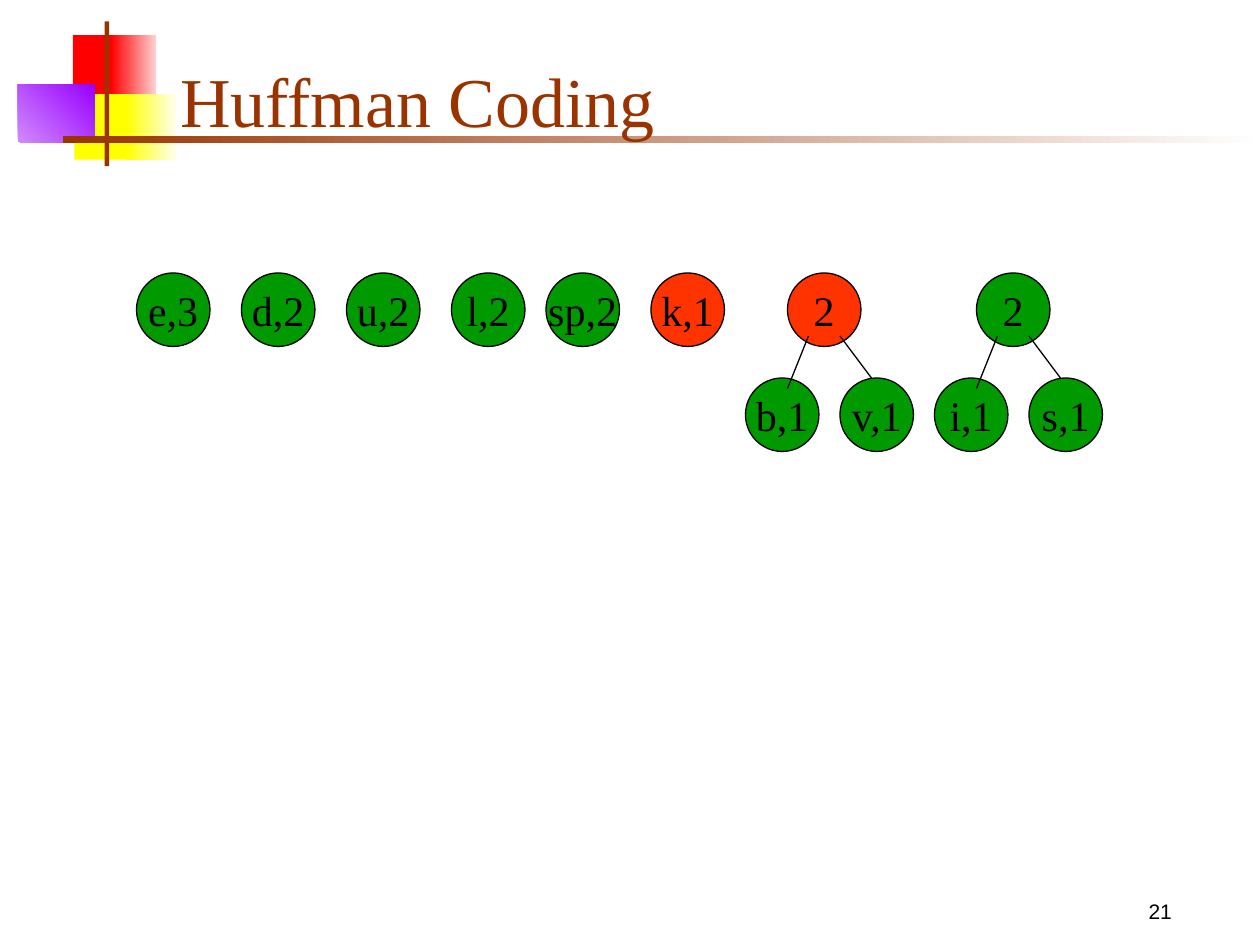
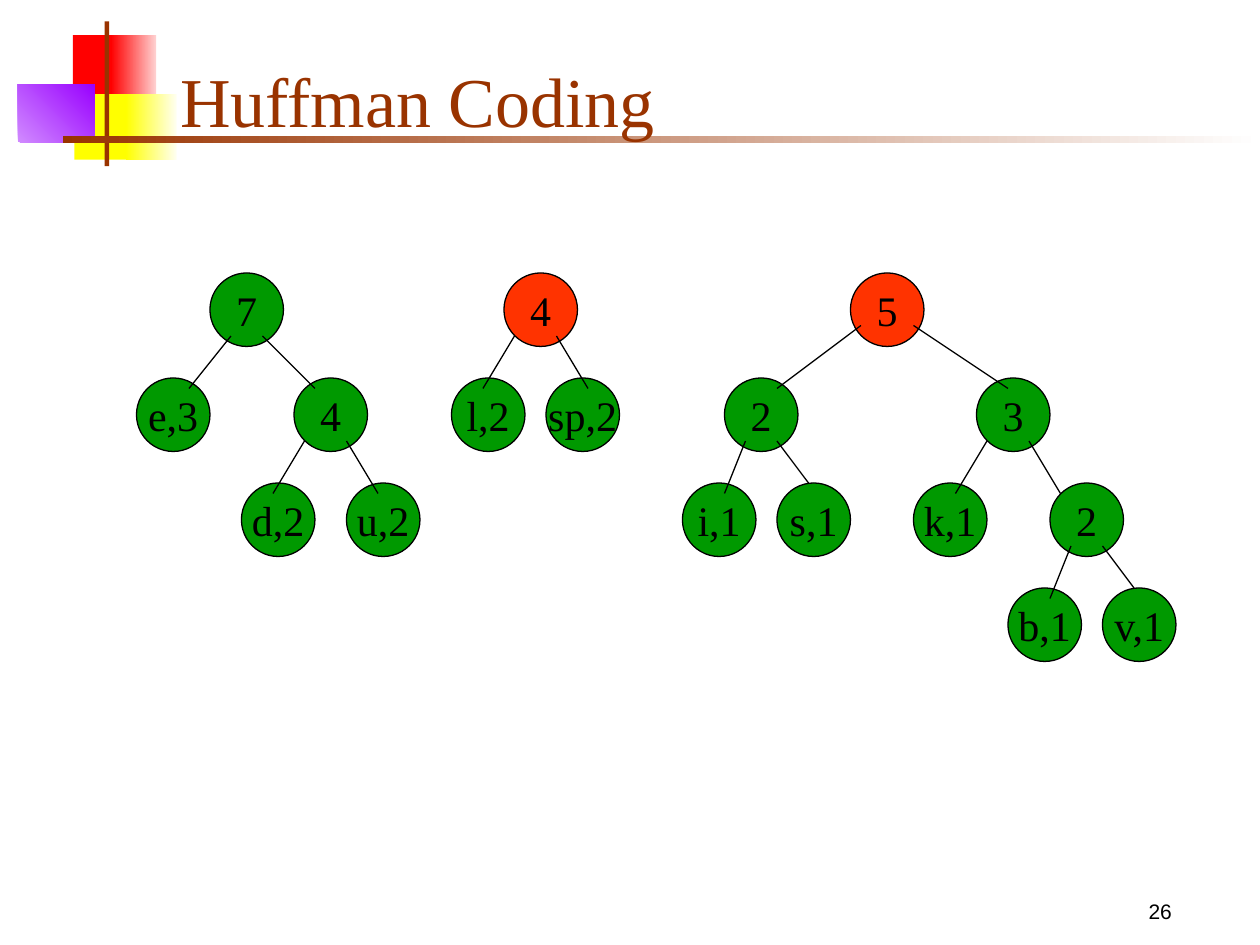
from dataclasses import dataclass

import lxml.etree
import pptx
import pptx.dml.color
import pptx.enum.shapes
import pptx.enum.text
import pptx.oxml.ns
import pptx.util

Cm = pptx.util.Cm
Align = pptx.enum.text.PP_ALIGN
Anchor = pptx.enum.text.MSO_ANCHOR
Shapes = pptx.enum.shapes.MSO_SHAPE


class Theme:
    brown = "993300"
    red, pale_red = "FF0000", "FFD1D1"
    yellow, pale_yellow = "FFFF00", "FFFFF0"
    purple, pale_purple = "9900FF", "D18BFF"
    white, black = "FFFFFF", "000000"
    node, chosen = "009900", "FF3300"
    serif, sans = "Times New Roman", "Arial"
    title_size, node_size, number_size = 40, 24, 12
    line_width = 0.75


# The trees sit on a grid of twelve steps to the inch
GRID = 2.54 / 12
NODE_SIZE, TOP_ROW, ROW_STEP = 7, 26, 10

# Left and right branch: start x, y and end x, y from the parent's corner
CLOSE = ((2, 6, 0, 11), (5, 6, 8, 10))
NORMAL = ((1, 6, -2, 11), (5, 6, 8, 11))
WIDE = ((2, 6, -2, 11), (5, 6, 10, 11))
WIDEST = ((1, 5, -7, 11), (6, 5, 15, 11))


@dataclass
class Node:
    label: str
    column: int
    children: tuple = ()
    branches: tuple = ()
    color: str = Theme.node


def rgb(value):
    return pptx.dml.color.RGBColor.from_string(value)


def steps(count):
    return Cm(count * GRID)


def write(shape, text, size, font, color, align=Align.LEFT, anchor=Anchor.TOP,
          wrap=True):
    frame = shape.text_frame
    frame.word_wrap = wrap
    frame.vertical_anchor = anchor
    para = frame.paragraphs[0]
    para.text = text
    para.alignment = align
    para.font.size = pptx.util.Pt(size)
    para.font.name = font
    para.font.color.rgb = rgb(color)
    return para


def add_block(page, left, top, width, height, color, end_color=None, angle=0):
    block = page.shapes.add_shape(
        Shapes.RECTANGLE, Cm(left), Cm(top), Cm(width), Cm(height))
    block.shadow.inherit = False
    block.line.fill.background()
    if end_color is None:
        block.fill.solid()
        block.fill.fore_color.rgb = rgb(color)
        return
    block.fill.gradient()
    block.fill.gradient_angle = angle
    for stop, value in zip(block.fill.gradient_stops, (color, end_color)):
        stop.color.rgb = rgb(value)


def add_frame(page, title, number):
    # Coloured blocks and crossing bars
    add_block(page, 1.47, 0.71, 0.89, 1.32, Theme.red)
    add_block(page, 2.24, 0.71, 0.91, 1.32, Theme.red, Theme.pale_red)
    add_block(page, 1.5, 1.9, 1.17, 1.32, Theme.yellow)
    add_block(page, 2.54, 1.9, 1.02, 1.32, Theme.yellow, Theme.pale_yellow)
    add_block(page, 0.36, 1.7, 1.55, 1.17, Theme.pale_purple, Theme.purple, 45)
    add_block(page, 2.11, 0.43, 0.09, 2.92, Theme.brown)
    add_block(page, 1.27, 2.74, 24.13, 0.14, Theme.brown, Theme.white)

    # Slide number and title
    box = page.shapes.add_textbox(Cm(22.02), Cm(17.98), Cm(2.74), Cm(0.84))
    para = write(box, str(number), Theme.number_size, Theme.sans, Theme.black,
                 Align.CENTER)
    para.space_before = pptx.util.Pt(7.5)
    box = page.shapes.add_textbox(Cm(3.38), Cm(0.64), Cm(21.64), Cm(2.34))
    write(box, title, Theme.title_size, Theme.serif, Theme.brown,
          anchor=Anchor.BOTTOM)


def add_circle(page, node, row):
    circle = page.shapes.add_shape(
        Shapes.OVAL, steps(node.column), steps(row),
        steps(NODE_SIZE), steps(NODE_SIZE))
    circle.shadow.inherit = False
    circle.fill.solid()
    circle.fill.fore_color.rgb = rgb(node.color)
    circle.line.color.rgb = rgb(Theme.black)
    circle.line.width = pptx.util.Pt(Theme.line_width)
    write(circle, node.label, Theme.node_size, Theme.serif, Theme.black,
          Align.CENTER, Anchor.MIDDLE, wrap=False)


def add_branch(page, column, row, branch):
    start_x, start_y, end_x, end_y = branch
    line = page.shapes.add_connector(
        pptx.enum.shapes.MSO_CONNECTOR.STRAIGHT,
        steps(column + start_x), steps(row + start_y),
        steps(column + end_x), steps(row + end_y))
    line.line.color.rgb = rgb(Theme.black)
    line.line.width = pptx.util.Pt(Theme.line_width)
    lxml.etree.SubElement(line._element.spPr, pptx.oxml.ns.qn("a:effectLst"))


def add_tree(page, node, row=TOP_ROW):
    for child in node.children:
        add_tree(page, child, row + ROW_STEP)
    add_circle(page, node, row)
    for branch in node.branches:
        add_branch(page, node.column, row, branch)


def leaf_pair(column, left, right, color=Theme.node):
    leaves = (Node(left, column - 4), Node(right, column + 5))
    return Node("2", column, leaves, CLOSE, color)


def first_forest():
    return [
        Node("e,3", 13), Node("d,2", 23), Node("u,2", 33),
        Node("l,2", 43), Node("sp,2", 52),
        Node("k,1", 62, color=Theme.chosen),
        leaf_pair(75, "b,1", "v,1", Theme.chosen),
        leaf_pair(93, "i,1", "s,1"),
    ]


def second_forest():
    four = Node("4", 28, (Node("d,2", 23), Node("u,2", 33)), NORMAL)
    three = Node("3", 93, (Node("k,1", 87), leaf_pair(100, "b,1", "v,1")),
                 NORMAL)
    return [
        Node("7", 20, (Node("e,3", 13), four), WIDE),
        Node("4", 48, (Node("l,2", 43), Node("sp,2", 52)), NORMAL,
             Theme.chosen),
        Node("5", 81, (leaf_pair(69, "i,1", "s,1"), three), WIDEST,
             Theme.chosen),
    ]


def main():
    deck = pptx.Presentation()
    deck.slide_width, deck.slide_height = Cm(25.4), Cm(19.05)
    for number, forest in ((21, first_forest()), (26, second_forest())):
        page = deck.slides.add_slide(deck.slide_layouts[6])
        add_frame(page, "Huffman Coding", number)
        for tree in forest:
            add_tree(page, tree)
    deck.save("out.pptx")


if __name__ == "__main__":
    main()
